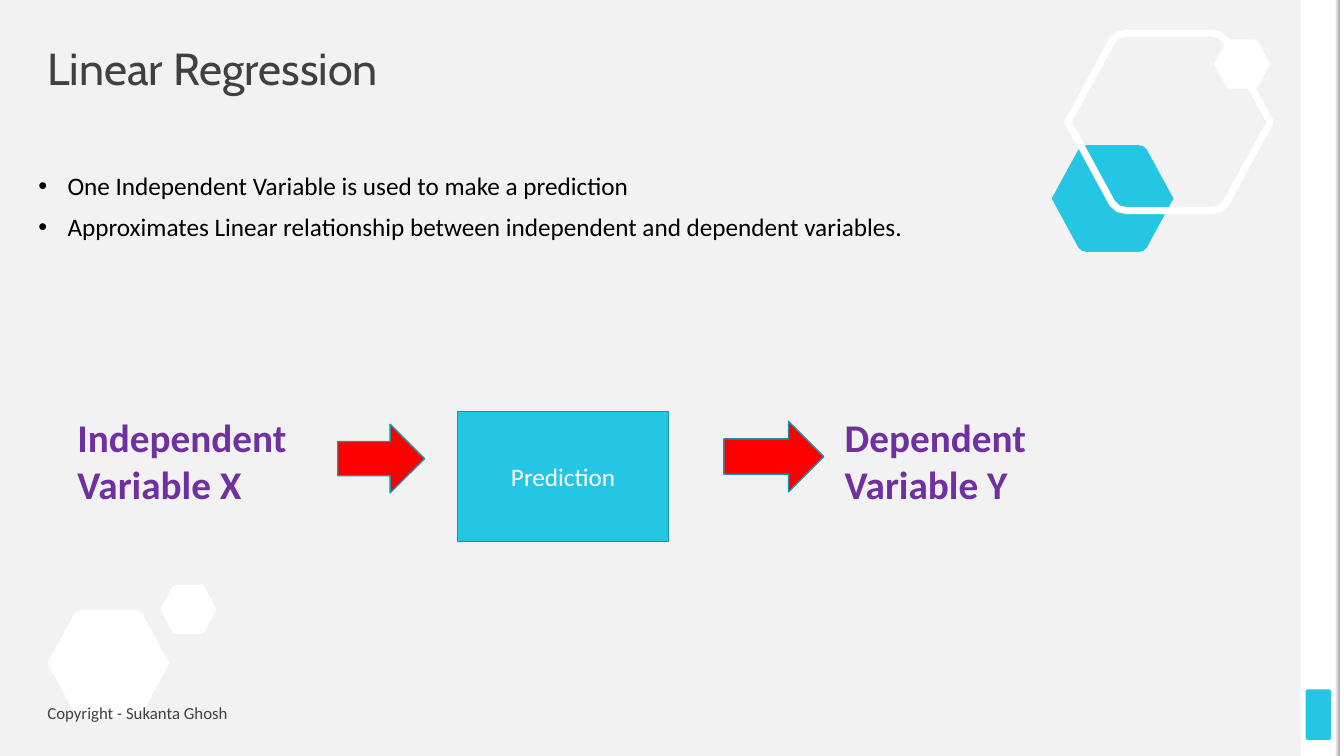
from dataclasses import dataclass
from typing import Optional

from lxml import etree
from pptx import Presentation
from pptx.dml.color import RGBColor
from pptx.enum.shapes import MSO_SHAPE
from pptx.enum.text import MSO_ANCHOR, PP_ALIGN
from pptx.oxml.ns import qn
from pptx.util import Inches, Pt

RECTANGLE = MSO_SHAPE.RECTANGLE
ROUNDED = MSO_SHAPE.ROUNDED_RECTANGLE
ARROW = MSO_SHAPE.RIGHT_ARROW
TOP, MIDDLE = MSO_ANCHOR.TOP, MSO_ANCHOR.MIDDLE
LEFT, CENTER = PP_ALIGN.LEFT, PP_ALIGN.CENTER

WHITE, CYAN, TEAL, RED = "FFFFFF", "25C6E3", "1B92A8", "FF0000"
PURPLE, DARK, BLACK = "7030A0", "404040", "000000"
BACKGROUND, SHADE = "F2F2F2", "A6A6A6"

CORNER = [(0.29, 0), (0.25, 0.01), (0.22, 0.04), (0.02, 0.46), (0, 0.5)]
UPPER = CORNER[::-1] + [(1 - x, y) for x, y in CORNER]
HEXAGON = UPPER + [(x, 1 - y) for x, y in UPPER[-2:0:-1]]


@dataclass
class Area:
    left: float
    top: float
    width: float
    height: float

    def lengths(self) -> tuple:
        return tuple(Inches(v) for v in (self.left, self.top, self.width, self.height))


@dataclass
class Block:
    area: Area
    kind: MSO_SHAPE
    fill: str
    line: Optional[str] = None


@dataclass
class Hexagon:
    area: Area
    fill: Optional[str] = None
    line: Optional[str] = None


RAIL = [
    Block(Area(12.9, 0, 0.39, 7.5), RECTANGLE, WHITE),
    Block(Area(12.95, 6.84, 0.25, 0.5), ROUNDED, CYAN),
    Block(Area(13.28, 0, 0.05, 7.5), RECTANGLE, WHITE),
    Block(Area(13.24, 0, 0.05, 7.5), RECTANGLE, WHITE),
]
HEXAGONS = [
    Hexagon(Area(0.47, 6.05, 1.21, 1.06), fill=WHITE),
    Hexagon(Area(10.43, 1.44, 1.21, 1.06), fill=CYAN),
    Hexagon(Area(10.59, 0.33, 2.01, 1.76), line=WHITE),
    Hexagon(Area(1.59, 5.8, 0.56, 0.49), fill=WHITE),
    Hexagon(Area(12.04, 0.39, 0.56, 0.49), fill=WHITE),
]
PREDICTION = Block(Area(4.54, 4.08, 2.09, 1.29), RECTANGLE, CYAN, TEAL)
ARROWS = [
    Block(Area(3.35, 4.21, 0.86, 0.68), ARROW, RED, TEAL),
    Block(Area(7.18, 4.18, 0.99, 0.7), ARROW, RED, TEAL),
]


def color(value: str) -> RGBColor:
    return RGBColor.from_string(value)


def paint(shape, fill: Optional[str], line: Optional[str], width: float) -> None:
    shape.shadow.inherit = False
    if fill:
        shape.fill.solid()
        shape.fill.fore_color.rgb = color(fill)
    else:
        shape.fill.background()
    if line:
        shape.line.color.rgb = color(line)
        shape.line.width = Pt(width)
    else:
        shape.line.fill.background()


def draw_block(page, block: Block):
    shape = page.shapes.add_shape(block.kind, *block.area.lengths())
    paint(shape, block.fill, block.line, 1)
    return shape


def draw_hexagon(page, hexagon: Hexagon) -> None:
    area = hexagon.area
    points = [
        (Inches(area.left + x * area.width), Inches(area.top + y * area.height))
        for x, y in HEXAGON
    ]
    builder = page.shapes.build_freeform(*points[0])
    builder.add_line_segments(points[1:], close=True)
    paint(builder.convert_to_shape(), hexagon.fill, hexagon.line, 5)


def add_bullet(para) -> None:
    properties = para._p.get_or_add_pPr()
    properties.set("marL", str(Inches(0.29)))
    properties.set("indent", str(Inches(-0.29)))
    font = etree.SubElement(properties, qn("a:buFont"))
    font.set("typeface", "Arial")
    bullet = etree.SubElement(properties, qn("a:buChar"))
    bullet.set("char", "•")


def write(frame, text: str, *, size: float, ink: str, font: str = "Calibri",
          bold: bool = False, align=LEFT, anchor=TOP, inset: bool = False,
          spacing: float = 1, before: float = 0, bullets: bool = False) -> None:
    frame.word_wrap = True
    frame.vertical_anchor = anchor
    if not inset:
        frame.margin_left = frame.margin_right = 0
        frame.margin_top = frame.margin_bottom = 0
    for index, line in enumerate(text.split("\n")):
        para = frame.add_paragraph() if index else frame.paragraphs[0]
        para.alignment = align
        para.line_spacing = spacing
        para.space_before = Pt(before)
        if bullets:
            add_bullet(para)
        span = para.add_run()
        span.text = line
        span.font.name = font
        span.font.size = Pt(size)
        span.font.bold = bold
        span.font.color.rgb = color(ink)


def add_text(page, area: Area, text: str, **style) -> None:
    box = page.shapes.add_textbox(*area.lengths())
    write(box.text_frame, text, **style)


def main() -> None:
    deck = Presentation()
    deck.slide_width, deck.slide_height = Inches(13.33), Inches(7.5)
    page = deck.slides.add_slide(deck.slide_layouts[6])
    page.background.fill.solid()
    page.background.fill.fore_color.rgb = color(BACKGROUND)

    rail = [draw_block(page, block) for block in RAIL]
    tab, shade = rail[1], rail[3]
    tab.adjustments[0] = 0.07
    shade.fill.gradient()
    shade.fill.gradient_angle = 0
    for stop, tone in zip(shade.fill.gradient_stops, (WHITE, SHADE)):
        stop.color.rgb = color(tone)
    for hexagon in HEXAGONS:
        draw_hexagon(page, hexagon)

    add_text(page, Area(0.47, 0.47, 12.39, 0.47), "Linear Regression",
             size=32, ink=DARK, font="Cabin", anchor=MIDDLE, spacing=0.9)
    add_text(page, Area(0.38, 1.72, 12.04, 0.95),
             "One Independent Variable is used to make a prediction\n"
             "Approximates Linear relationship between independent and dependent variables.",
             size=18, ink=BLACK, spacing=0.9, before=10, bullets=True)

    prediction = draw_block(page, PREDICTION)
    write(prediction.text_frame, "Prediction", size=18, ink=WHITE,
          align=CENTER, anchor=MIDDLE, inset=True)
    add_text(page, Area(0.67, 4.05, 2.69, 1.04), "Independent\nVariable X",
             size=28, ink=PURPLE, bold=True, inset=True)
    add_text(page, Area(8.28, 4.05, 2.94, 1.04), "Dependent Variable Y",
             size=28, ink=PURPLE, bold=True, inset=True)
    for arrow in ARROWS:
        draw_block(page, arrow)
    add_text(page, Area(0.47, 6.96, 6, 0.22), "Copyright - Sukanta Ghosh",
             size=12, ink=DARK, anchor=MIDDLE)

    deck.save("out.pptx")


if __name__ == "__main__":
    main()
